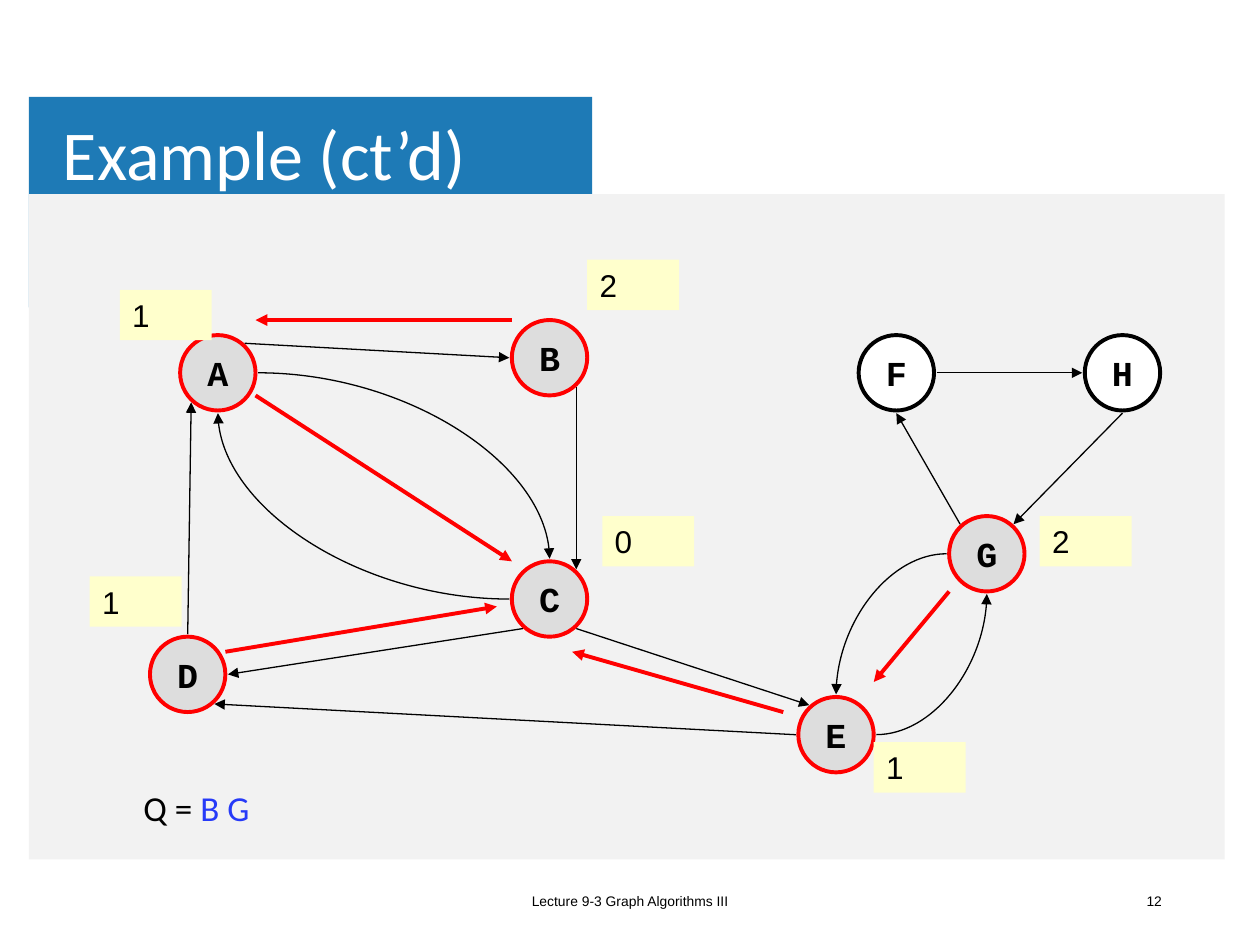
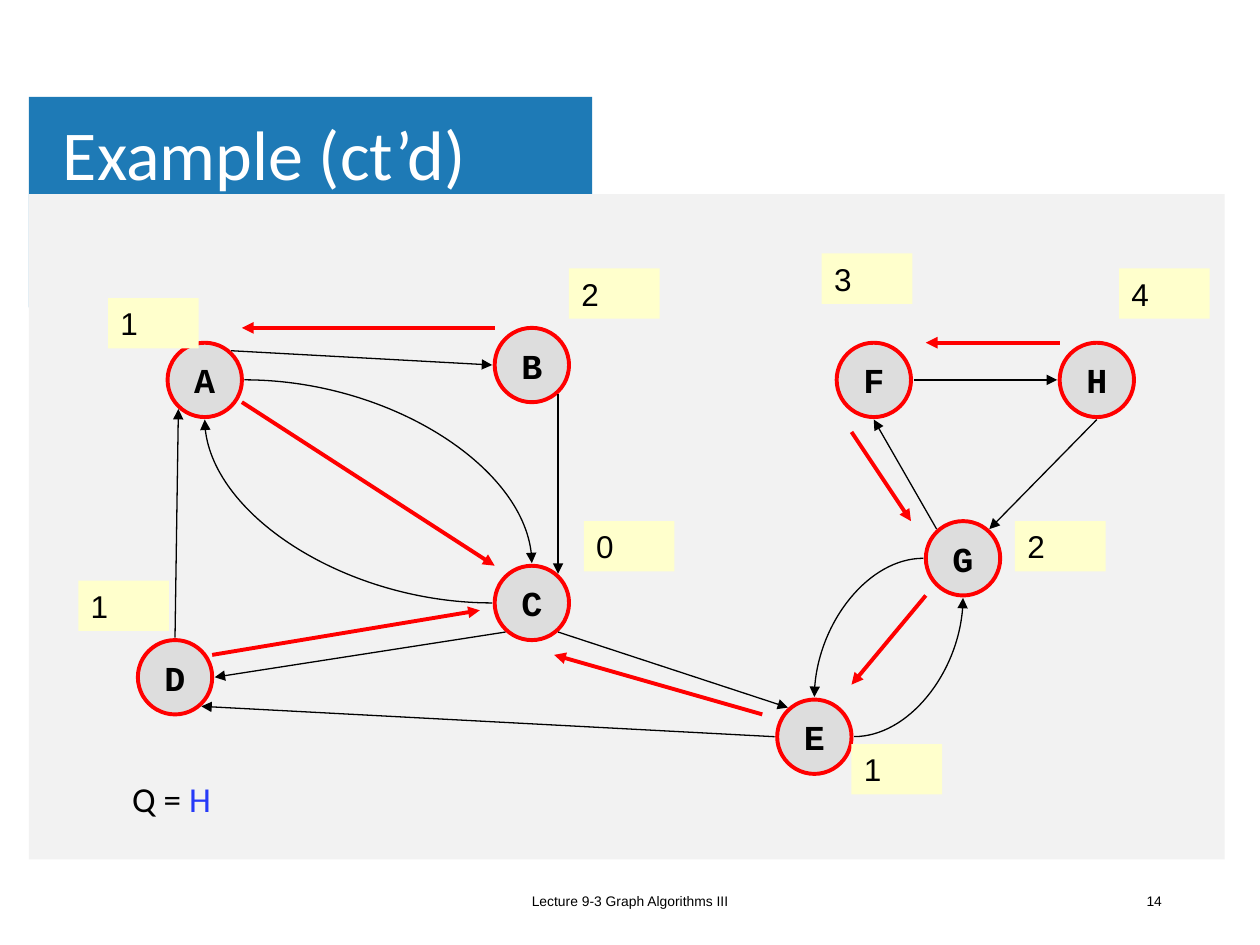
"""Build two slides that trace a breadth-first search through a directed graph."""
from dataclasses import dataclass

from lxml import etree
from pptx import Presentation
from pptx.dml.color import RGBColor
from pptx.enum.shapes import MSO_CONNECTOR, MSO_SHAPE
from pptx.enum.text import MSO_ANCHOR, MSO_AUTO_SIZE, PP_ALIGN
from pptx.oxml.ns import qn
from pptx.util import Inches, Pt

STRAIGHT, CURVE = MSO_CONNECTOR.STRAIGHT, MSO_CONNECTOR.CURVE
RECTANGLE, OVAL = MSO_SHAPE.RECTANGLE, MSO_SHAPE.OVAL
TOP, MIDDLE = MSO_ANCHOR.TOP, MSO_ANCHOR.MIDDLE
LEFT, CENTER, RIGHT = PP_ALIGN.LEFT, PP_ALIGN.CENTER, PP_ALIGN.RIGHT
GROW = MSO_AUTO_SIZE.SHAPE_TO_FIT_TEXT


@dataclass(frozen=True)
class Theme:
    band: RGBColor = RGBColor(0x1E, 0x7A, 0xB6)
    panel: RGBColor = RGBColor(0xF2, 0xF2, 0xF2)
    white: RGBColor = RGBColor(0xFF, 0xFF, 0xFF)
    ink: RGBColor = RGBColor(0x00, 0x00, 0x00)
    visited: RGBColor = RGBColor(0xDD, 0xDD, 0xDD)
    trace: RGBColor = RGBColor(0xFF, 0x00, 0x00)
    distance: RGBColor = RGBColor(0xFF, 0xFF, 0xCC)
    queue: RGBColor = RGBColor(0x26, 0x3A, 0xF8)
    heading_font: str = "Calibri"
    label_font: str = "Arial"
    node_font: str = "Courier New"
    title_size: float = 40
    body_size: float = 20
    distance_size: float = 18
    footer_size: float = 7.9
    thin: float = 0.75
    thick: float = 2.25


# Grid positions count in fifths of a node, from the corner of node A.
NODE_SIZE = 5
NODES = {"A": (0, 0), "C": (22, 15), "B": (22, -1), "D": (-2, 20),
         "F": (45, 0), "H": (60, 0), "G": (51, 12), "E": (41, 24)}
DISTANCE_SPOTS = {"C": (28, 12), "E": (46, 27), "A": (-4, -3), "D": (-6, 16),
                  "B": (27, -5), "G": (57, 12), "F": (44, -6), "H": (64, -5)}
SIDE, CORNER_X, CORNER_Y = 2.67, 1.77, 1.96
SITES = {"top": (0, -SIDE), "bottom": (0, SIDE),
         "left": (-SIDE, 0), "right": (SIDE, 0),
         "top left": (-CORNER_X, -CORNER_Y), "top right": (CORNER_X, -CORNER_Y),
         "bottom left": (-CORNER_X, CORNER_Y), "bottom right": (CORNER_X, CORNER_Y)}
EDGES = [
    (CURVE, "A", "right", "C", "top"),
    (CURVE, "C", "left", "A", "bottom"),
    (STRAIGHT, "A", "top right", "B", "left"),
    (STRAIGHT, "B", "bottom right", "C", "top right"),
    (STRAIGHT, "C", "bottom left", "D", "right"),
    (STRAIGHT, "D", "top", "A", "bottom left"),
    (STRAIGHT, "C", "bottom right", "E", "top left"),
    (STRAIGHT, "E", "left", "D", "bottom right"),
    (STRAIGHT, "G", "top left", "F", "bottom"),
    (STRAIGHT, "F", "right", "H", "left"),
    (STRAIGHT, "H", "bottom", "G", "top right"),
    (CURVE, "G", "left", "E", "top"),
    (CURVE, "E", "right", "G", "bottom"),
]
TRACES = {"E": ((40, 25), (26, 21)), "D": ((3, 21), (21, 18)),
          "A": ((5, 4), (22, 15)), "B": ((22, -1), (5, -1)),
          "G": ((51, 17), (46, 23)), "F": ((46, 6), (50, 12)),
          "H": ((60, 0), (51, 0))}


@dataclass(frozen=True)
class Step:
    number: str
    left: float
    top: float
    reach: float
    queue: str
    queue_box: tuple
    distances: dict


FIRST_DISTANCES = {"C": 0, "E": 1, "A": 1, "D": 1, "B": 2, "G": 2}
STEPS = [
    Step("12", 1.43, 2.66, 7.18, "B G", (1.04, 6.19, 2.22, 0.44), FIRST_DISTANCES),
    Step("14", 1.33, 2.72, 7.08, "H", (0.95, 6.12, 1.79, 0.44),
         {**FIRST_DISTANCES, "F": 3, "H": 4}),
]


class GraphDeck:
    """Hold the theme, the current slide and its grid."""

    def __init__(self, theme):
        self.theme = theme
        self.deck = Presentation()
        self.deck.slide_width, self.deck.slide_height = Inches(10), Inches(7.5)

    def new_page(self, step):
        self.page = self.deck.slides.add_slide(self.deck.slide_layouts[6])
        self.step = step
        self.pitch = step.reach / NODES["H"][0]

    def place(self, column, row):
        return self.step.left + column * self.pitch, self.step.top + row * self.pitch

    def shape(self, kind, area, fill, outline=None):
        shape = self.page.shapes.add_shape(kind, *map(Inches, area))
        shape.shadow.inherit = False
        shape.fill.solid()
        shape.fill.fore_color.rgb = fill
        if outline is None:
            shape.line.fill.background()
        else:
            shape.line.color.rgb = outline
            shape.line.width = Pt(self.theme.thick)
        return shape

    def set_text(self, shape, spans, font, size, align=LEFT, anchor=TOP, wrap=True, bold=False):
        frame = shape.text_frame
        frame.word_wrap = wrap
        frame.vertical_anchor = anchor
        para = frame.paragraphs[0]
        para.alignment = align
        para.font.name, para.font.size, para.font.bold = font, Pt(size), bold
        for text, color in spans:
            span = para.add_run()
            span.text = text
            if len(spans) == 1:
                para.font.color.rgb = color
            else:
                span.font.color.rgb = color
        return frame

    def text(self, area, spans, font, size, **style):
        box = self.page.shapes.add_textbox(*map(Inches, area))
        return self.set_text(box, spans, font, size, **style)

    def arrow(self, kind, start, end, color, width):
        line = self.page.shapes.add_connector(kind, *map(Inches, start + end))
        line.line.color.rgb = color
        line.line.width = Pt(width)
        properties = line._element.spPr
        etree.SubElement(properties.find(qn("a:ln")), qn("a:tailEnd"), type="triangle")
        etree.SubElement(properties, qn("a:effectLst"))
        if kind == CURVE:
            self.bend_once(properties)

    def bend_once(self, properties):
        properties.find(qn("a:prstGeom")).set("prst", "curvedConnector2")
        frame = properties.find(qn("a:xfrm"))
        if frame.attrib.pop("flipH", None):
            frame.set("rot", "10800000")
            if not frame.attrib.pop("flipV", None):
                frame.set("flipV", "1")

    def backdrop(self, title, footer):
        theme = self.theme
        self.shape(RECTANGLE, (0.23, 0.77, 4.47, 1.67), theme.band)
        self.shape(RECTANGLE, (0.23, 1.54, 9.49, 5.28), theme.panel)
        frame = self.text((0.43, 0.76, 8.03, 0.98), [(title, theme.white)],
                          theme.heading_font, theme.title_size, anchor=MIDDLE)
        frame.margin_left = frame.margin_right = Inches(0.07)
        frame.margin_top = frame.margin_bottom = Inches(0.04)
        frame.paragraphs[0].line_spacing = 0.9
        for area, text, align in (((3.31, 6.95, 3.38, 0.4), footer, CENTER),
                                  ((7.07, 6.95, 2.25, 0.4), self.step.number, RIGHT)):
            self.text(area, [(text, theme.ink)], theme.label_font,
                      theme.footer_size, align=align, anchor=MIDDLE)

    def node(self, name):
        theme = self.theme
        seen = name in self.step.distances
        size = NODE_SIZE * self.pitch
        circle = self.shape(OVAL, (*self.place(*NODES[name]), size, size),
                            theme.visited if seen else theme.white,
                            theme.trace if seen else theme.ink)
        self.set_text(circle, [(name, theme.ink)], theme.node_font, theme.body_size,
                      align=CENTER, anchor=MIDDLE, wrap=False, bold=True)

    def site(self, name, side):
        return self.place(*(corner + NODE_SIZE / 2 + offset
                            for corner, offset in zip(NODES[name], SITES[side])))

    def edge(self, kind, source, source_side, target, target_side):
        self.arrow(kind, self.site(source, source_side), self.site(target, target_side),
                   self.theme.ink, self.theme.thin)

    def distance(self, name, value):
        theme = self.theme
        area = (*self.place(*DISTANCE_SPOTS[name]), 6.1 * self.pitch, 0.4)
        label = self.shape(RECTANGLE, area, theme.distance)
        frame = self.set_text(label, [(str(value), theme.ink)],
                              theme.label_font, theme.distance_size)
        frame.auto_size = GROW

    def queue(self):
        theme = self.theme
        spans = [("Q = ", theme.ink), (self.step.queue, theme.queue)]
        frame = self.text(self.step.queue_box, spans, theme.heading_font, theme.body_size)
        frame.auto_size = GROW

    def trace(self, start, end):
        self.arrow(STRAIGHT, self.place(*start), self.place(*end),
                   self.theme.trace, self.theme.thick)


def main():
    graph = GraphDeck(Theme())
    for step in STEPS:
        graph.new_page(step)
        graph.backdrop("Example (ct’d)", "Lecture 9-3 Graph Algorithms III")
        for name in NODES:
            graph.node(name)
        for edge in EDGES:
            graph.edge(*edge)
        for name, value in step.distances.items():
            graph.distance(name, value)
        graph.queue()
        for name, ends in TRACES.items():
            if name in step.distances:
                graph.trace(*ends)
    graph.deck.save("out.pptx")


if __name__ == "__main__":
    main()
